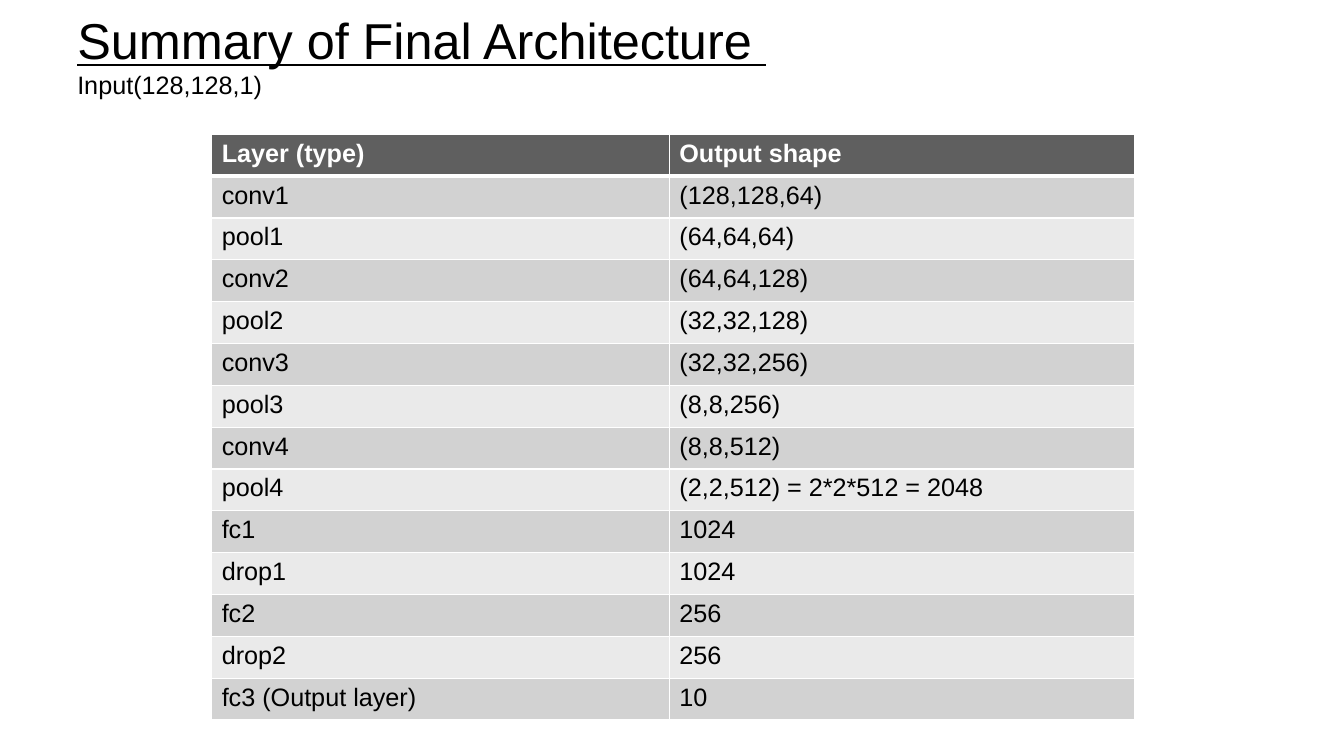
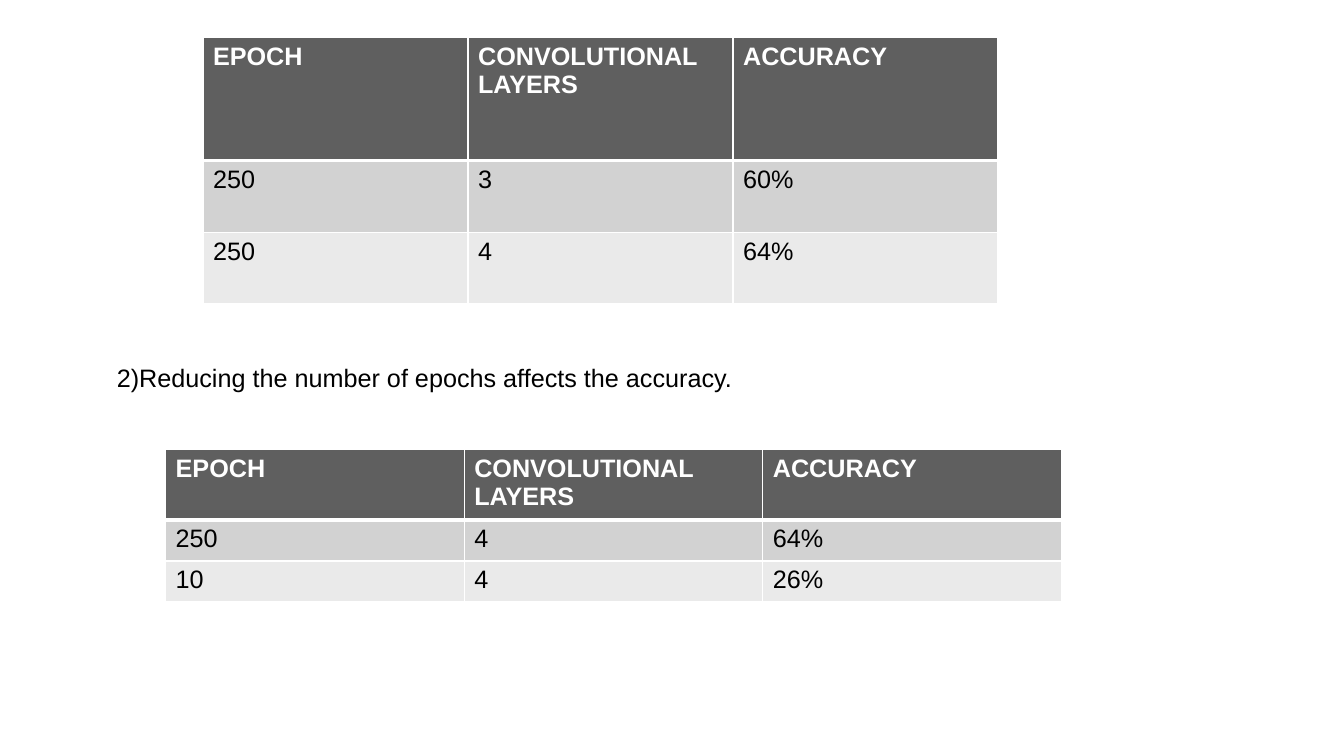
"""Build two slides of network layer and accuracy tables."""
from dataclasses import dataclass

from lxml import etree
from pptx import Presentation
from pptx.dml.color import RGBColor
from pptx.enum.text import MSO_ANCHOR, MSO_AUTO_SIZE, PP_ALIGN
from pptx.oxml.ns import qn
from pptx.slide import Slide
from pptx.table import _Cell
from pptx.text.text import _Paragraph
from pptx.util import Pt

LEFT = PP_ALIGN.LEFT
MIDDLE = MSO_ANCHOR.MIDDLE
FIXED = MSO_AUTO_SIZE.NONE
GROW = MSO_AUTO_SIZE.SHAPE_TO_FIT_TEXT
TITLE_ONLY, BLANK = 5, 6


@dataclass(frozen=True)
class Theme:
    font: str = "Arial"
    title: float = 36
    body: float = 18
    ink: str = "000000"
    paper: str = "FFFFFF"
    head: str = "5F5F5F"
    bands: tuple[str, str] = ("D2D2D2", "EAEAEA")
    thin: float = 1
    thick: float = 3


@dataclass(frozen=True)
class Grid:
    left: float
    top: float
    cols: tuple[float, ...]
    head: float
    row: float
    cells: tuple[tuple[str, ...], ...]


THEME = Theme()
HEADS = ("EPOCH", "CONVOLUTIONAL LAYERS", "ACCURACY")
LAYERS = Grid(151.2, 96, (326.9, 332.6), 29.9, 29.9, (
    ("Layer (type)", "Output shape"),
    ("conv1", "(128,128,64)"),
    ("pool1", "(64,64,64)"),
    ("conv2", "(64,64,128)"),
    ("pool2", "(32,32,128)"),
    ("conv3", "(32,32,256)"),
    ("pool3", "(8,8,256)"),
    ("conv4", "(8,8,512)"),
    ("pool4", "(2,2,512) = 2*2*512 = 2048"),
    ("fc1", "1024"),
    ("drop1", "1024"),
    ("fc2", "256"),
    ("drop2", "256"),
    ("fc3 (Output layer)", "10"),
))
DEPTH = Grid(145, 27, (189.3,) * 3, 87.6, 51.2, (
    HEADS, ("250", "3", "60%"), ("250", "4", "64%"),
))
EPOCHS = Grid(118.3, 321, (213.3,) * 3, 49.5, 29.3, (
    HEADS, ("250", "4", "64%"), ("10", "4", "26%"),
))


def style(para: _Paragraph, size: float, ink: str = THEME.ink,
          bold: bool = False, under: bool = False) -> None:
    para.alignment = LEFT
    for run in para.runs:
        font = run.font
        font.name, font.size = THEME.font, Pt(size)
        font.bold, font.underline = bold, under
        font.color.rgb = RGBColor.from_string(ink)


def edge(cell: _Cell, side: str, width: float) -> None:
    props = cell._tc.get_or_add_tcPr()
    line = etree.SubElement(props, qn(f"a:ln{side}"), w=str(Pt(width)))
    fill = etree.SubElement(line, qn("a:solidFill"))
    etree.SubElement(fill, qn("a:srgbClr"), val=THEME.paper)


def paint(cell: _Cell, text: str, row: int) -> None:
    top = THEME.thick if row == 1 else THEME.thin
    base = THEME.thick if row == 0 else THEME.thin
    for side, width in zip("LRTB", (THEME.thin, THEME.thin, top, base)):
        edge(cell, side, width)
    cell.fill.solid()
    shade = THEME.bands[(row - 1) % 2] if row else THEME.head
    cell.fill.fore_color.rgb = RGBColor.from_string(shade)
    cell.text_frame.text = text
    ink = THEME.ink if row else THEME.paper
    style(cell.text_frame.paragraphs[0], THEME.body, ink, bold=row == 0)


def add_grid(slide: Slide, grid: Grid) -> None:
    count = len(grid.cells)
    high = grid.head + grid.row * (count - 1)
    frame = slide.shapes.add_table(
        count, len(grid.cols), Pt(grid.left), Pt(grid.top),
        Pt(sum(grid.cols)), Pt(high))
    table = frame.table
    for col, width in zip(table.columns, grid.cols):
        col.width = Pt(width)
    for row, texts in enumerate(grid.cells):
        table.rows[row].height = Pt(grid.row if row else grid.head)
        for col, text in enumerate(texts):
            paint(table.cell(row, col), text, row)


def add_title(slide: Slide, head: str, sub: str) -> None:
    title = slide.shapes.title
    title.left, title.top = Pt(48), Pt(16)
    title.width, title.height = Pt(864), Pt(46)
    frame = title.text_frame
    frame.auto_size, frame.vertical_anchor = FIXED, MIDDLE
    frame.text = f"{head}\n{sub}"
    first, last = frame.paragraphs
    style(first, THEME.title, under=True)
    style(last, THEME.body)


def add_note(slide: Slide, text: str) -> None:
    box = slide.shapes.add_textbox(Pt(76.3), Pt(255), Pt(454.3), Pt(29))
    frame = box.text_frame
    frame.word_wrap, frame.auto_size = False, GROW
    frame.text = text
    style(frame.paragraphs[0], THEME.body)


def main() -> None:
    deck = Presentation()
    deck.slide_width, deck.slide_height = Pt(960), Pt(540)
    slide = deck.slides.add_slide(deck.slide_layouts[TITLE_ONLY])
    add_title(slide, "Summary of Final Architecture ", "Input(128,128,1)")
    add_grid(slide, LAYERS)
    slide = deck.slides.add_slide(deck.slide_layouts[BLANK])
    add_grid(slide, DEPTH)
    add_note(slide, "2)Reducing the number of epochs affects the accuracy.")
    add_grid(slide, EPOCHS)
    deck.save("out.pptx")


if __name__ == "__main__":
    main()
